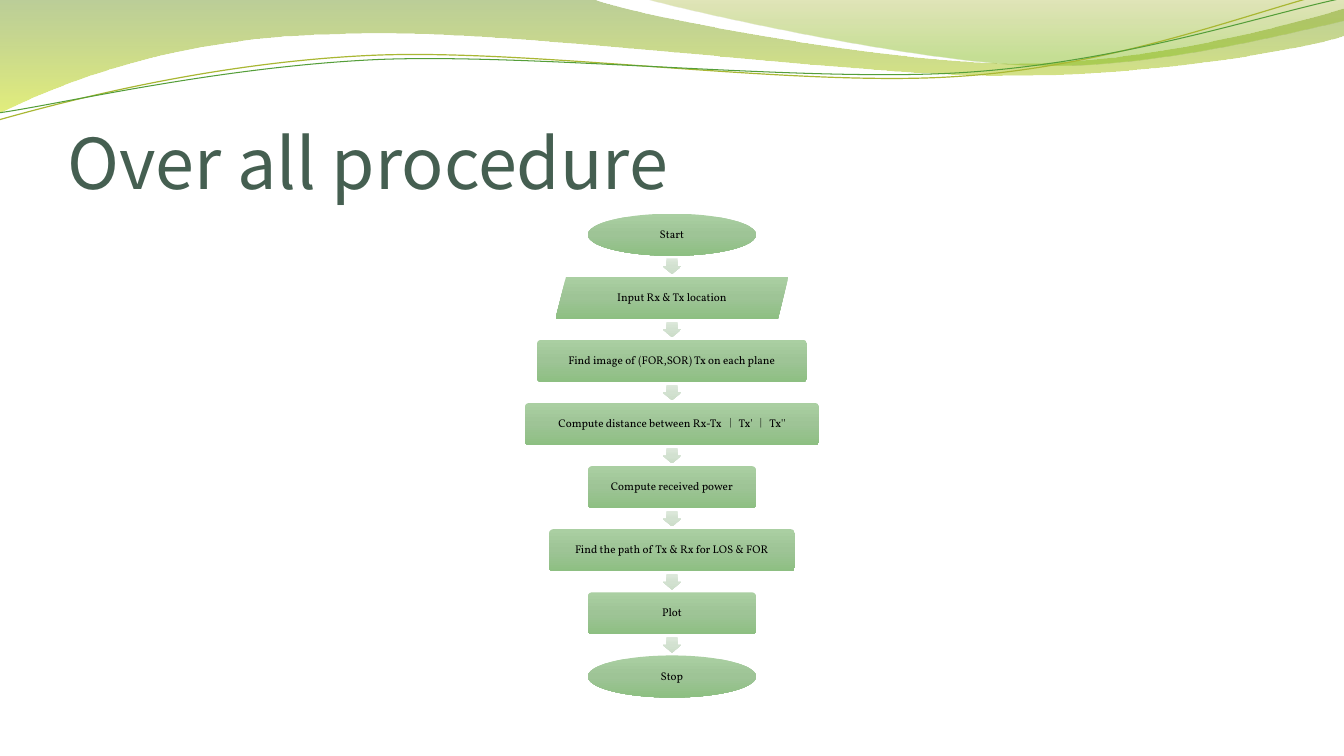
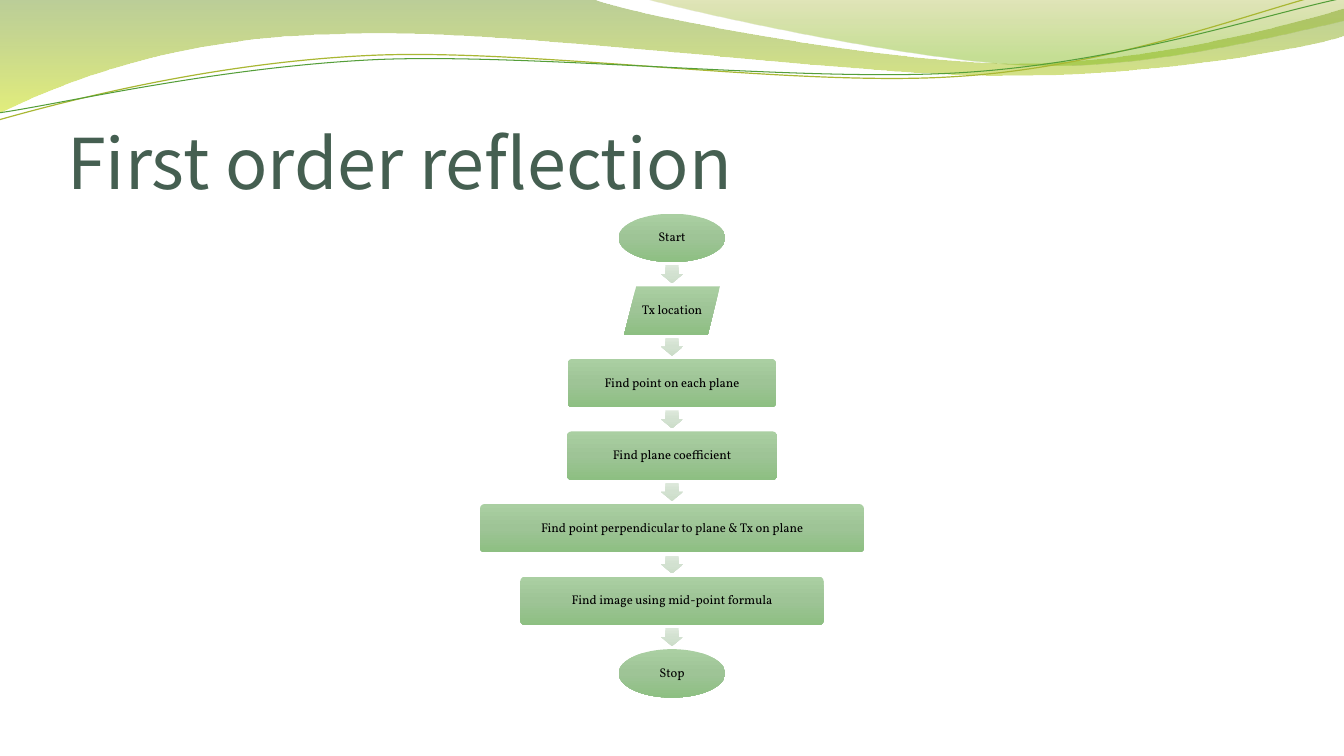
from math import cos, radians, sin

from lxml.etree import SubElement
from pptx import Presentation
from pptx.dml.color import RGBColor
from pptx.enum.shapes import MSO_SHAPE as SHAPE
from pptx.enum.text import MSO_ANCHOR as ANCHOR, PP_ALIGN as ALIGN
from pptx.oxml.ns import qn
from pptx.util import Inches, Pt

W, H = 13.33, 7.5
TITLE_FONT, STEP_FONT = "Noto Sans CJK SC", "Vollkorn"
TITLE_COLOR, STEP_COLOR = "455F51", "000000"

# Gradients from top to bottom: position %, colour, opacity %
STEP_FILL = [(0, "AACFA2", 100), (50, "9EC496", 100), (100, "8DBF82", 100)]
ARROW_FILL = [(0, "DDE8DB", 100), (50, "D2E1D0", 100), (100, "CCDDC9", 100)]

# Waves: a start, then lines (x, y) and Bezier curves (two handles, end)
WAVE_FILLS = [
    ([(0, 0), (5.87, -0.01),
      (6.34, 0.17, 8.84, 0.63, 10.11, 0.63),
      (11.37, 0.63, 12.77, 0.26, 13.33, 0.09), (13.34, 0.36),
      (13.11, 0.44, 11.59, 0.76, 9.94, 0.75),
      (8.29, 0.75, 5.09, 0.28, 3.43, 0.34),
      (1.72, 0.36, 0.61, 0.83, -0.02, 1.13), (0, 0)],
     [(0, "69921C", 45), (100, "CCE10F", 55)]),
    ([(6.38, -0.01),
      (6.79, 0.11, 9.09, 0.62, 10.25, 0.65),
      (11.4, 0.69, 12.82, 0.32, 13.33, 0.21), (13.33, 0), (6.38, -0.01)],
     [(0, "9BAA1A", 30), (80, "81BA16", 45)]),
]
WAVE_LINES = [
    ([(-0.01, 1.19),
      (0.63, 1.01, 2.1, 0.62, 3.69, 0.55),
      (5.27, 0.48, 7.89, 0.87, 9.49, 0.76),
      (11.1, 0.66, 12.51, 0.08, 13.3, -0.1)], "A9B733", 0.85),
    ([(-0.01, 1.12),
      (0.62, 1.03, 2.18, 0.66, 3.77, 0.59),
      (5.37, 0.53, 7.96, 0.82, 9.55, 0.72),
      (11.14, 0.62, 12.55, 0.14, 13.33, -0.02)], "549E39", 0.75),
]
LINE_TILT = -2.7
LINE_CENTER = (6.66, 0.58)

OVAL, SLANT, BLOCK = SHAPE.OVAL, SHAPE.PARALLELOGRAM, SHAPE.ROUNDED_RECTANGLE

# Title, text size, steps (shape, width, text)
SLIDES = [
    ("Over all procedure", 8, [
        (OVAL, 1.67, "Start"),
        (SLANT, 2.31, "Input Rx & Tx location"),
        (BLOCK, 2.68, "Find image of (FOR,SOR) Tx on each plane"),
        (BLOCK, 2.92, "Compute distance between Rx-Tx︱Tx'︱Tx''"),
        (BLOCK, 1.67, "Compute received power"),
        (BLOCK, 2.44, "Find the path of Tx & Rx for LOS & FOR"),
        (BLOCK, 1.67, "Plot"),
        (OVAL, 1.67, "Stop")]),
    ("First order reflection", 9, [
        (OVAL, 1.06, "Start"),
        (SLANT, 0.95, "Tx location"),
        (BLOCK, 2.07, "Find point on each plane"),
        (BLOCK, 2.09, "Find plane coefficient"),
        (BLOCK, 3.81, "Find point perpendicular to plane & Tx on plane"),
        (BLOCK, 3.01, "Find image using mid-point formula"),
        (OVAL, 1.06, "Stop")]),
]


def rgb(color):
    return RGBColor.from_string(color)


def set_gradient(sp, stops):
    sp.shadow.inherit = False
    sp.line.fill.background()
    sp.fill.gradient()
    sp.fill.gradient_angle = 270
    stop_list = sp._element.spPr.find(qn("a:gradFill")).find(qn("a:gsLst"))
    stop_list.clear()
    for pos, color, opacity in stops:
        gs = SubElement(stop_list, qn("a:gs"), pos=str(pos * 1000))
        clr = SubElement(gs, qn("a:srgbClr"), val=color)
        if opacity < 100:
            SubElement(clr, qn("a:alpha"), val=str(opacity * 1000))


def write(sp, text, font, size, color, anchor):
    tf = sp.text_frame
    tf.vertical_anchor = anchor
    tf.margin_left = tf.margin_right = tf.margin_top = tf.margin_bottom = 0
    p = tf.paragraphs[0]
    p.text = text
    p.font.name, p.font.size = font, Pt(size)
    p.font.color.rgb = rgb(color)
    return tf, p


def turn(x, y, angle):
    """Turn a point clockwise about the middle of the wave lines."""
    cx, cy = LINE_CENTER
    c, s = cos(radians(angle)), sin(radians(angle))
    return (cx + (x - cx) * c - (y - cy) * s,
            cy + (x - cx) * s + (y - cy) * c)


def add_outline(slide, outline, left, top, scale, close, tilt=0):
    """Draw a freeform of lines and true Bezier curves."""
    points = [turn(*part[i:i + 2], -tilt)
              for part in outline for i in range(0, len(part), 2)]
    points = [(Inches(left + x * scale), Inches(top + y * scale))
              for x, y in points]
    builder = slide.shapes.build_freeform(*points[0])
    builder.add_line_segments(points[1:], close=close)
    sp = builder.convert_to_shape()
    sp.rotation = tilt
    # Merge each three segments of a curve into one
    segments = iter(list(sp._element.iter(qn("a:lnTo"))))
    for part in outline[1:]:
        first = next(segments)
        if len(part) == 6:
            first.tag = qn("a:cubicBezTo")
            for _ in range(2):
                extra = next(segments)
                first.append(extra[0])
                extra.getparent().remove(extra)
    return sp


def add_waves(slide, left, top, width):
    box = left, top, width / W
    for outline, stops in WAVE_FILLS:
        set_gradient(add_outline(slide, outline, *box, True), stops)
    for outline, color, weight in WAVE_LINES:
        sp = add_outline(slide, outline, *box, False, LINE_TILT)
        sp.shadow.inherit = False
        sp.fill.background()
        sp.line.color.rgb = rgb(color)
        sp.line.width = Pt(weight)


def add_title(slide, text, left, top, width, height):
    sp = slide.shapes.add_textbox(*map(Inches, (left, top, width, height)))
    tf, _ = write(sp, text, TITLE_FONT, 50, TITLE_COLOR, ANCHOR.BOTTOM)
    tf.word_wrap = True
    tf.margin_top = Inches(0.05)


def add_flow(slide, steps, size, left, top, width, height):
    """Stack the steps down the box; each gap is half a step high."""
    step_h = height / (1.5 * len(steps) - 0.5)
    center = left + width / 2

    def add_centered(shape, mid_y, w, h, stops):
        sp = slide.shapes.add_shape(
            shape, *map(Inches, (center - w / 2, mid_y - h / 2, w, h)))
        set_gradient(sp, stops)
        return sp

    for i, (shape, step_w, text) in enumerate(steps):
        mid_y = top + (1.5 * i + 0.5) * step_h
        # Arrow in the gap above
        if i:
            arrow = add_centered(SHAPE.DOWN_ARROW, mid_y - 0.75 * step_h,
                                 0.45 * step_h, 0.37 * step_h, ARROW_FILL)
            arrow.adjustments[0], arrow.adjustments[1] = 0.6, 0.5
        # Step
        sp = add_centered(shape, mid_y, step_w, step_h, STEP_FILL)
        if shape == BLOCK:
            sp.adjustments[0] = 0.1
        tf, p = write(sp, text, STEP_FONT, size, STEP_COLOR, ANCHOR.MIDDLE)
        tf.word_wrap = False
        p.alignment = ALIGN.CENTER
        p.line_spacing = 0.9


def main():
    prs = Presentation()
    prs.slide_width, prs.slide_height = Inches(W), Inches(H)
    for title, size, steps in SLIDES:
        slide = prs.slides.add_slide(prs.slide_layouts[6])
        add_waves(slide, 0, 0, W)
        add_title(slide, title, 0.05 * W, 0.77, 0.9 * W, H / 6)
        add_flow(slide, steps, size, 0.05 * W, 2.12, 0.9 * W, 0.64 * H)
    prs.save("out.pptx")


if __name__ == "__main__":
    main()
